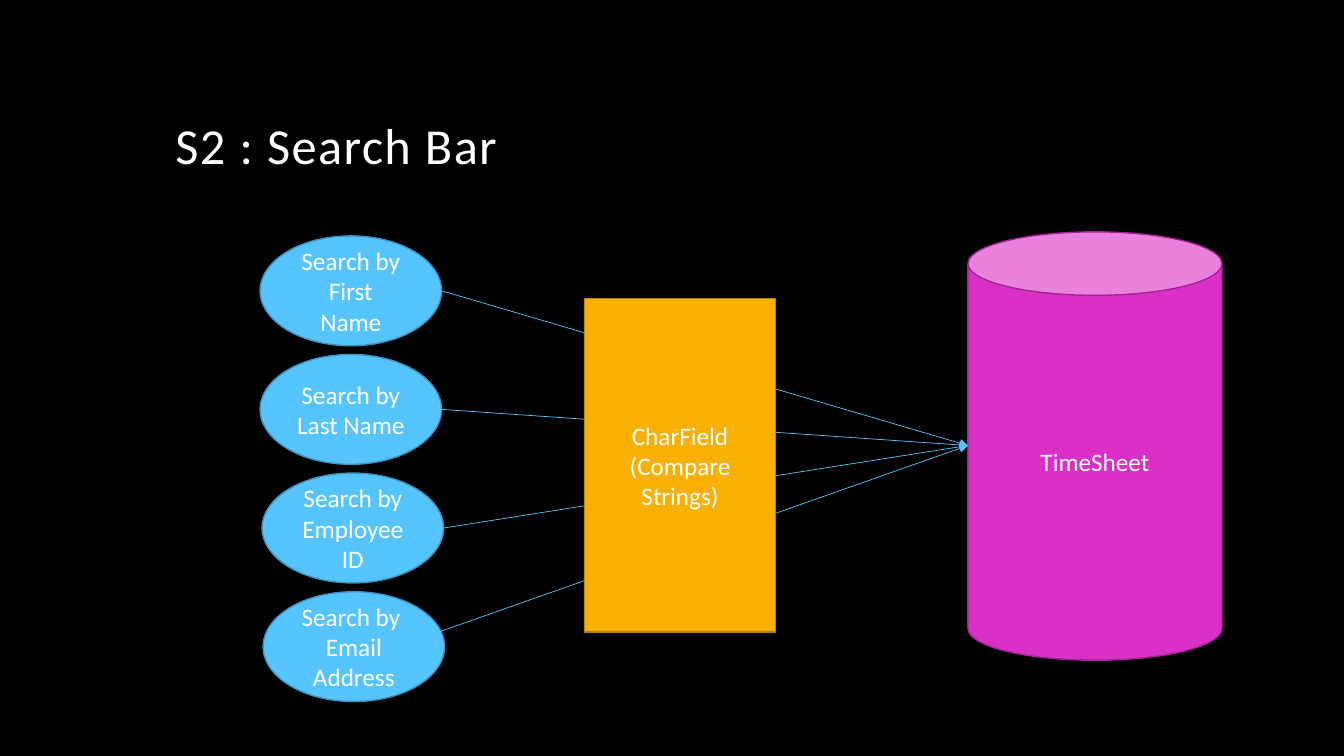
from lxml import etree
from pptx import Presentation
from pptx.dml.color import RGBColor
from pptx.enum.shapes import MSO_CONNECTOR, MSO_SHAPE
from pptx.enum.text import MSO_ANCHOR, PP_ALIGN
from pptx.oxml.ns import qn
from pptx.util import Inches, Pt

CAN, OVAL, RECT = MSO_SHAPE.CAN, MSO_SHAPE.OVAL, MSO_SHAPE.RECTANGLE
STRAIGHT = MSO_CONNECTOR.STRAIGHT
LEFT, CENTER = PP_ALIGN.LEFT, PP_ALIGN.CENTER
MIDDLE, BOTTOM = MSO_ANCHOR.MIDDLE, MSO_ANCHOR.BOTTOM

BLACK = RGBColor(0x00, 0x00, 0x00)
WHITE = RGBColor(0xFF, 0xFF, 0xFF)
BLUE = RGBColor(0x56, 0xC5, 0xFF)
BLUE_EDGE = RGBColor(0x40, 0x92, 0xBD)
PINK = RGBColor(0xDB, 0x30, 0xC7)
PINK_EDGE = RGBColor(0xA2, 0x24, 0x93)
AMBER = RGBColor(0xF8, 0xB0, 0x04)
AMBER_EDGE = RGBColor(0xB7, 0x82, 0x03)

OVAL_TOP, OVAL_W, OVAL_H = 2.34, 1.8, 1.09
OVAL_PITCH = (5.87 - OVAL_TOP) / 3
TARGET = (9.6, 4.42)
SEARCHES = [
    (2.58, "Search by First Name"),
    (2.58, "Search by Last Name"),
    (2.6, "Search by Employee ID"),
    (2.61, "Search by \nEmail Address"),
]
EMAIL_START = (4.04, 6.38)


class Diagram:
    font = "Calibri"

    def __init__(self, prs):
        self.s = prs.slides.add_slide(prs.slide_layouts[5])
        self.s.background.fill.solid()
        self.s.background.fill.fore_color.rgb = BLACK

    def set_text(self, tf, text, size, align, anchor):
        tf.word_wrap = True
        tf.vertical_anchor = anchor
        tf.text = text
        for p in tf.paragraphs:
            p.alignment = align
            for r in p.runs:
                r.font.color.rgb = WHITE
                for name, value in {"name": self.font, "size": Pt(size), "bold": False}.items():
                    setattr(r.font, name, value)

    def title(self, text, left, top, width, height):
        sp = self.s.shapes.title
        box = {"left": left, "top": top, "width": width, "height": height}
        for name, value in box.items():
            setattr(sp, name, Inches(value))
        self.set_text(sp.text_frame, text, 36, LEFT, BOTTOM)
        p = sp.text_frame.paragraphs[0]
        p.line_spacing = 0.9
        p.runs[0]._r.get_or_add_rPr().set("spc", "100")

    def shape(self, kind, box, text, fill, edge):
        sp = self.s.shapes.add_shape(kind, *map(Inches, box))
        sp.shadow.inherit = False
        sp.fill.solid()
        sp.fill.fore_color.rgb = fill
        sp.line.color.rgb = edge
        sp.line.width = Pt(1)
        self.set_text(sp.text_frame, text, 18, CENTER, MIDDLE)

    def arrow(self, start, end):
        cx = self.s.shapes.add_connector(STRAIGHT, *map(Inches, start + end))
        cx.line.color.rgb = BLUE
        cx.line.width = Pt(0.5)
        sp_pr = cx._element.spPr
        etree.SubElement(sp_pr.find(qn("a:ln")), qn("a:tailEnd"), type="triangle")
        etree.SubElement(sp_pr, qn("a:effectLst"))


def main():
    prs = Presentation()
    prs.slide_width, prs.slide_height = Inches(13.33), Inches(7.5)
    d = Diagram(prs)
    d.title("S2 : Search Bar", 1.64, 0.29, 10, 1.5)
    d.shape(CAN, (9.6, 2.3, 2.52, 4.25), "TimeSheet", PINK, PINK_EDGE)
    starts = []
    for i, (left, text) in enumerate(SEARCHES):
        top = OVAL_TOP + i * OVAL_PITCH
        d.shape(OVAL, (left, top, OVAL_W, OVAL_H), text, BLUE, BLUE_EDGE)
        starts.append((left + OVAL_W, top + OVAL_H / 2))
    for start in starts[:-1] + [EMAIL_START]:
        d.arrow(start, TARGET)
    d.shape(RECT, (5.8, 2.96, 1.89, 3.31), "CharField\n(Compare Strings)", AMBER, AMBER_EDGE)
    prs.save("out.pptx")


if __name__ == "__main__":
    main()
